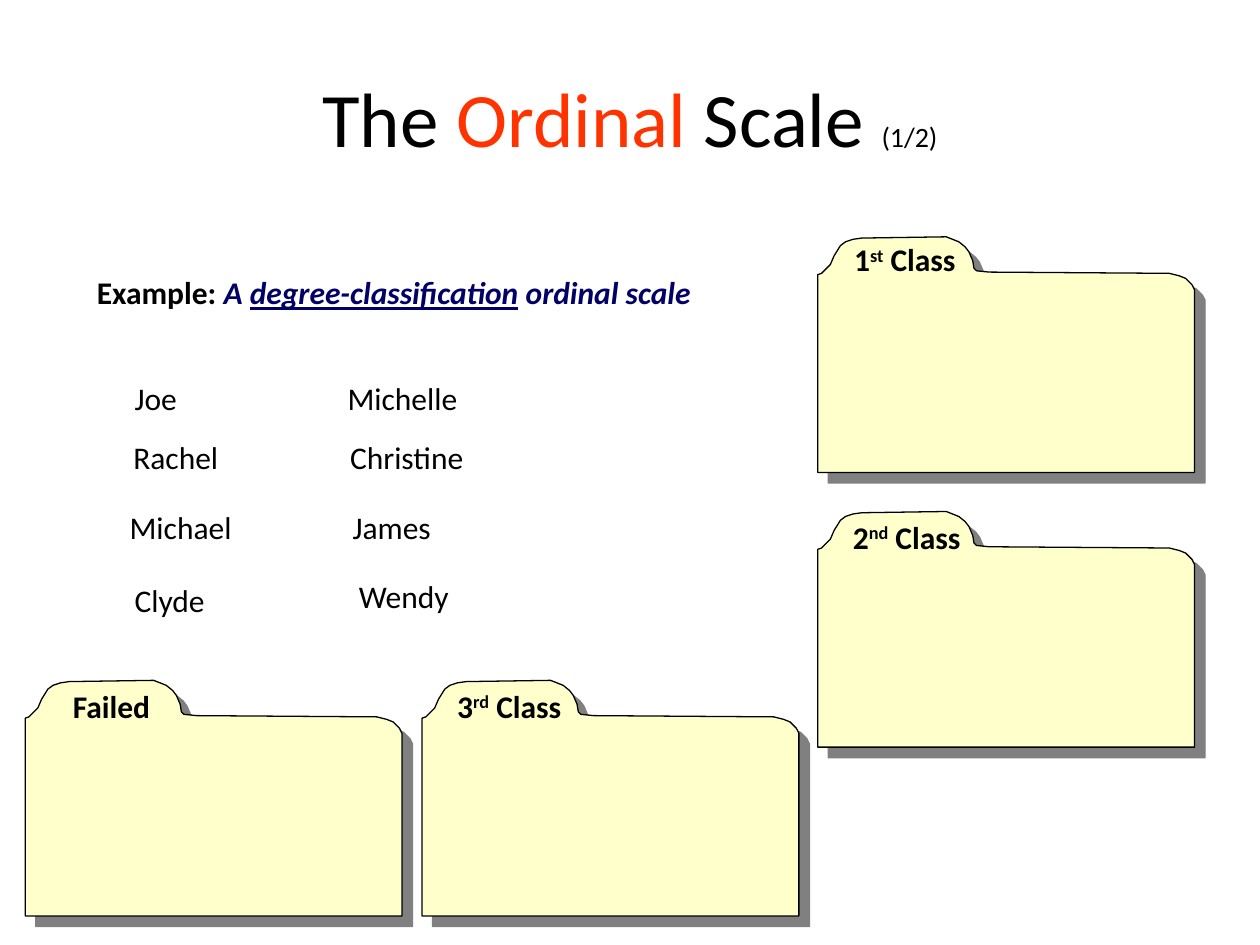
import pptx
import pptx.util
import pptx.dml.color
import pptx.enum.text
import pptx.oxml.ns
import lxml.etree

THEME = {
    "font": "Calibri", "title": 44, "small": 16, "body": 18, "rule": 0.75,
    "ink": "000000", "red": "FF3300", "navy": "000066",
    "card": "FFFFCC", "shade": "808080",
}

# Each run is its text and the format that differs from plain body text.
BOLD = {"bold": True}
NAVY = {"bold": True, "italic": True, "color": "navy"}
BIG = {"size": "title"}
TITLE = [("The ", BIG), ("Ordinal", {**BIG, "color": "red"}),
         (" Scale ", BIG), ("(1/2)", {"size": "small"})]
LEAD = [("Example: ", BOLD), ("A ", NAVY),
        ("degree-classification", {**NAVY, "underline": True}),
        (" ordinal scale", NAVY)]

# Folder left and top, label left, top and width, label parts
FOLDERS = [
    (6.49, 1.88, 6.68, 1.86, 1.05, ("1", "st", " Class")),
    (6.49, 4.06, 6.67, 4.06, 1.1, ("2", "nd", " Class")),
    (3.35, 5.4, 3.53, 5.4, 1.07, ("3", "rd", " Class")),
    (0.2, 5.4, 0.48, 5.4, 0.86, ("Failed",)),
]
# Folder outline, measured from its top left corner
EDGE = [(0, 0.3), (0.03, 0.29), (0.06, 0.26), (0.1, 0.22), (0.13, 0.15),
        (0.18, 0.07), (0.22, 0.04), (0.28, 0.02), (0.35, 0.01), (1.02, 0),
        (1.07, 0.02), (1.12, 0.04), (1.17, 0.08), (1.2, 0.12),
        (1.23, 0.19), (1.24, 0.25), (1.26, 0.27), (1.36, 0.28),
        (2.79, 0.29), (2.87, 0.31), (2.92, 0.33), (2.97, 0.38),
        (2.99, 0.42), (2.99, 1.87), (0, 1.87)]

# Name, left, top, width
NAMES = [
    ("Joe", 0.97, 2.96, 0.6), ("Michelle", 2.66, 2.96, 1.11),
    ("Rachel", 0.96, 3.43, 0.93), ("Christine", 2.68, 3.43, 1.14),
    ("Michael", 0.93, 3.98, 1.05), ("James", 2.7, 3.98, 0.86),
    ("Clyde", 0.97, 4.56, 0.8), ("Wendy", 2.75, 4.53, 0.96),
]


def tint(name):
    return pptx.dml.color.RGBColor.from_string(THEME[name])


def span(*sizes):
    """Turn numbers of inches into lengths."""
    return [pptx.util.Inches(size) for size in sizes]


def add_text(slide, runs, left, top, wide, high=0.4):
    box = slide.shapes.add_textbox(*span(left, top, wide, high))
    frame = box.text_frame
    frame.word_wrap = False
    frame.auto_size = pptx.enum.text.MSO_AUTO_SIZE.SHAPE_TO_FIT_TEXT
    for text, form in runs:
        run = frame.paragraphs[0].add_run()
        run.text = text
        font = run.font
        font.name = THEME["font"]
        form = {"size": "body", "color": "ink", **form}
        font.size = pptx.util.Pt(THEME[form.pop("size")])
        font.color.rgb = tint(form.pop("color"))
        if form.pop("raised", False):
            font._element.set("baseline", "30000")
        for key, value in form.items():
            setattr(font, key, value)
    return frame


def add_shade(shape):
    """Cast a hard shadow down and to the right."""
    shape.shadow.inherit = False
    tag = pptx.oxml.ns.qn
    glow = shape._element.spPr.find(tag("a:effectLst"))
    cast = lxml.etree.SubElement(
        glow, tag("a:outerShdw"), dist=str(pptx.util.Pt(8.5)),
        dir=str(45 * 60000), algn="ctr", rotWithShape="0")
    lxml.etree.SubElement(cast, tag("a:srgbClr"), val=THEME["shade"])


def add_folder(slide, left, top):
    start, *rest = [span(*point) for point in EDGE]
    pen = slide.shapes.build_freeform(*start)
    pen.add_line_segments(rest, close=True)
    shape = pen.convert_to_shape(*span(left, top))
    shape.fill.solid()
    shape.fill.fore_color.rgb = tint("card")
    shape.line.color.rgb = tint("ink")
    shape.line.width = pptx.util.Pt(THEME["rule"])
    add_shade(shape)


def main():
    deck = pptx.Presentation()
    deck.slide_width, deck.slide_height = span(10, 7.5)
    slide = deck.slides.add_slide(deck.slide_layouts[6])

    head = add_text(slide, TITLE, 0.5, 0.3, 9, 1.25)
    head.word_wrap = True
    head.auto_size = pptx.enum.text.MSO_AUTO_SIZE.NONE
    head.vertical_anchor = pptx.enum.text.MSO_ANCHOR.MIDDLE
    head.paragraphs[0].alignment = pptx.enum.text.PP_ALIGN.CENTER

    add_text(slide, LEAD, 0.67, 2.12, 4.96)
    for left, top, *place, parts in FOLDERS:
        add_folder(slide, left, top)
        runs = [(part, {**BOLD, "raised": spot == 1})
                for spot, part in enumerate(parts)]
        add_text(slide, runs, *place)
    for name, *place in NAMES:
        add_text(slide, [(name, {})], *place)

    deck.save("out.pptx")


if __name__ == "__main__":
    main()
